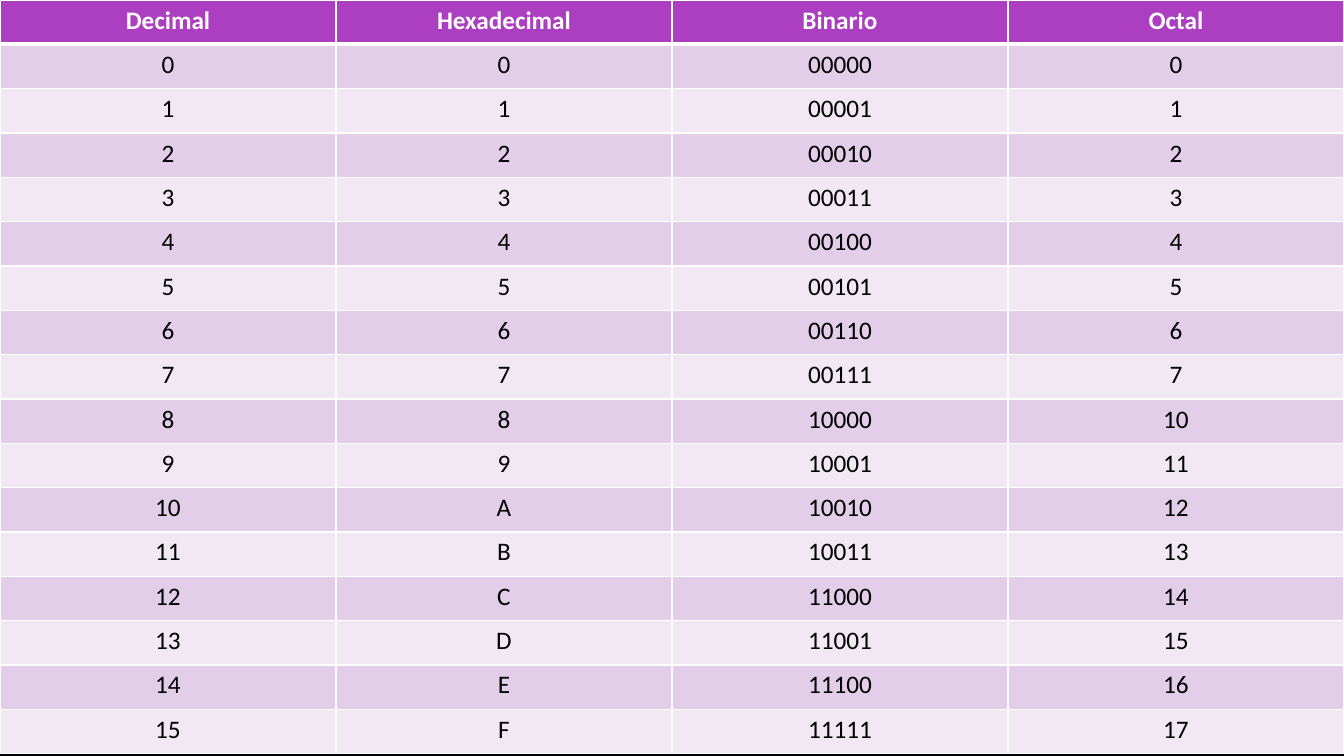
from lxml import etree
from pptx import Presentation
from pptx.dml.color import RGBColor
from pptx.enum import text
from pptx.oxml import ns
from pptx.util import Cm, Pt

WHITE = RGBColor(0xFF, 0xFF, 0xFF)
BLACK = RGBColor(0x00, 0x00, 0x00)
PURPLE = RGBColor(0xAC, 0x3E, 0xC1)
LILAC = RGBColor(0xE3, 0xCE, 0xE9)
PALE_LILAC = RGBColor(0xF1, 0xE8, 0xF4)

SLIDE_WIDTH, SLIDE_HEIGHT = Cm(33.87), Cm(19.05)
TABLE_HEIGHT = Cm(19)

HEADERS = ("Decimal", "Hexadecimal", "Binario", "Octal")
BINARY_CODES = (
    "00000", "00001", "00010", "00011", "00100", "00101", "00110", "00111",
    "10000", "10001", "10010", "10011", "11000", "11001", "11100", "11111",
)


def set_borders(cell, widths):
    """Draw white borders; widths maps the sides L, R, T, B to points."""
    properties = cell._tc.get_or_add_tcPr()
    for side, width in widths.items():
        line = etree.SubElement(properties, ns.qn(f"a:ln{side}"), w=str(Pt(width)))
        fill = etree.SubElement(line, ns.qn("a:solidFill"))
        etree.SubElement(fill, ns.qn("a:srgbClr"), val=str(WHITE))


def format_cell(cell, content, fill_color, font_color, bold):
    cell.fill.solid()
    cell.fill.fore_color.rgb = fill_color
    cell.text_frame.text = content
    paragraph = cell.text_frame.paragraphs[0]
    paragraph.alignment = text.PP_ALIGN.CENTER
    font = paragraph.runs[0].font
    font.name, font.size, font.bold = "Calibri", Pt(18), bold
    font.color.rgb = font_color


def add_number_table(slide, left, top, width, height):
    rows = [HEADERS]
    for number, binary in enumerate(BINARY_CODES):
        rows.append((str(number), f"{number:X}", binary, f"{number:o}"))

    table = slide.shapes.add_table(
        len(rows), len(HEADERS), left, top, width, height).table
    for column in table.columns:
        column.width = width // len(HEADERS)
    for row in table.rows:
        row.height = height // len(rows)

    # Header row, then alternating bands
    for row_index, row in enumerate(rows):
        is_header = row_index == 0
        band = LILAC if row_index % 2 else PALE_LILAC
        widths = {"L": 1, "R": 1,
                  "T": 3 if row_index == 1 else 1,
                  "B": 3 if is_header else 1}
        for column_index, content in enumerate(row):
            cell = table.cell(row_index, column_index)
            set_borders(cell, widths)
            format_cell(cell, content,
                        PURPLE if is_header else band,
                        WHITE if is_header else BLACK, is_header)


def main():
    presentation = Presentation()
    presentation.slide_width = SLIDE_WIDTH
    presentation.slide_height = SLIDE_HEIGHT
    slide = presentation.slides.add_slide(presentation.slide_layouts[6])

    # Background
    slide.background.fill.solid()
    slide.background.fill.fore_color.rgb = BLACK

    # Conversion table
    add_number_table(slide, Cm(0), Cm(0), SLIDE_WIDTH, TABLE_HEIGHT)
    presentation.save("out.pptx")


if __name__ == "__main__":
    main()
